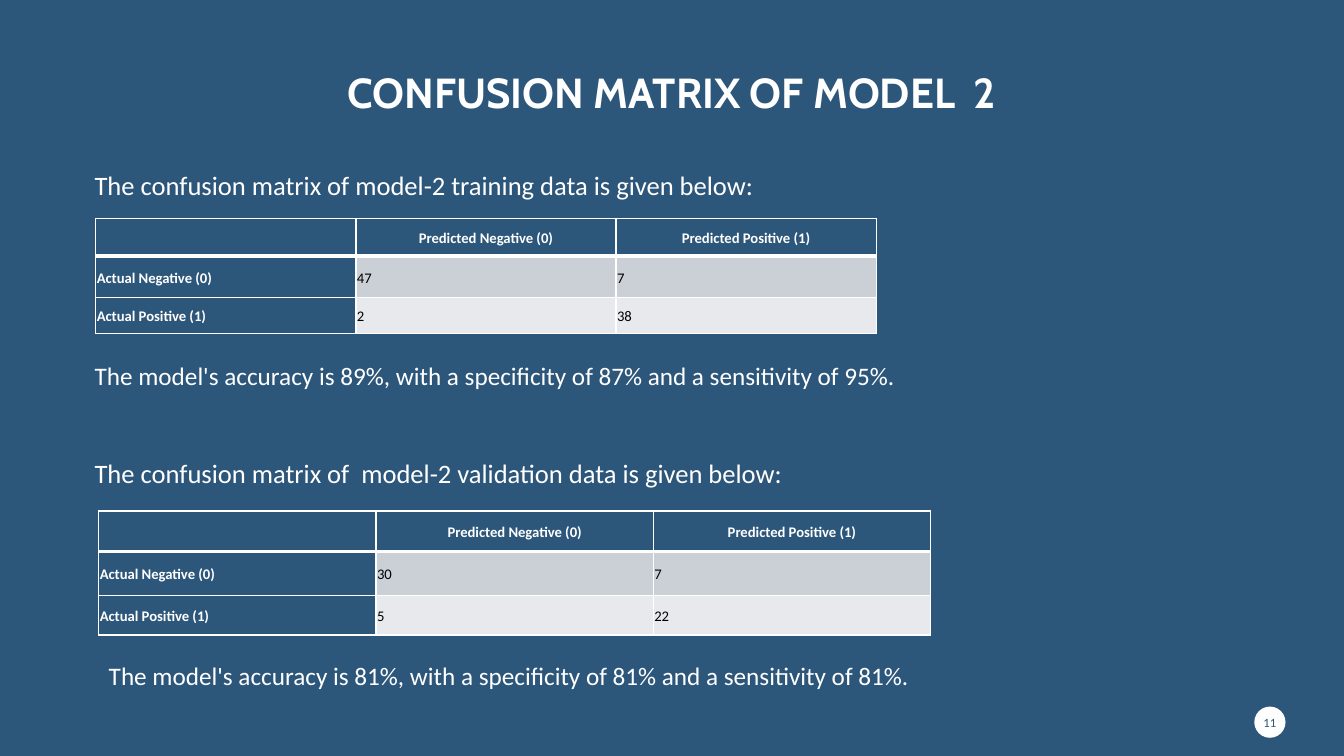
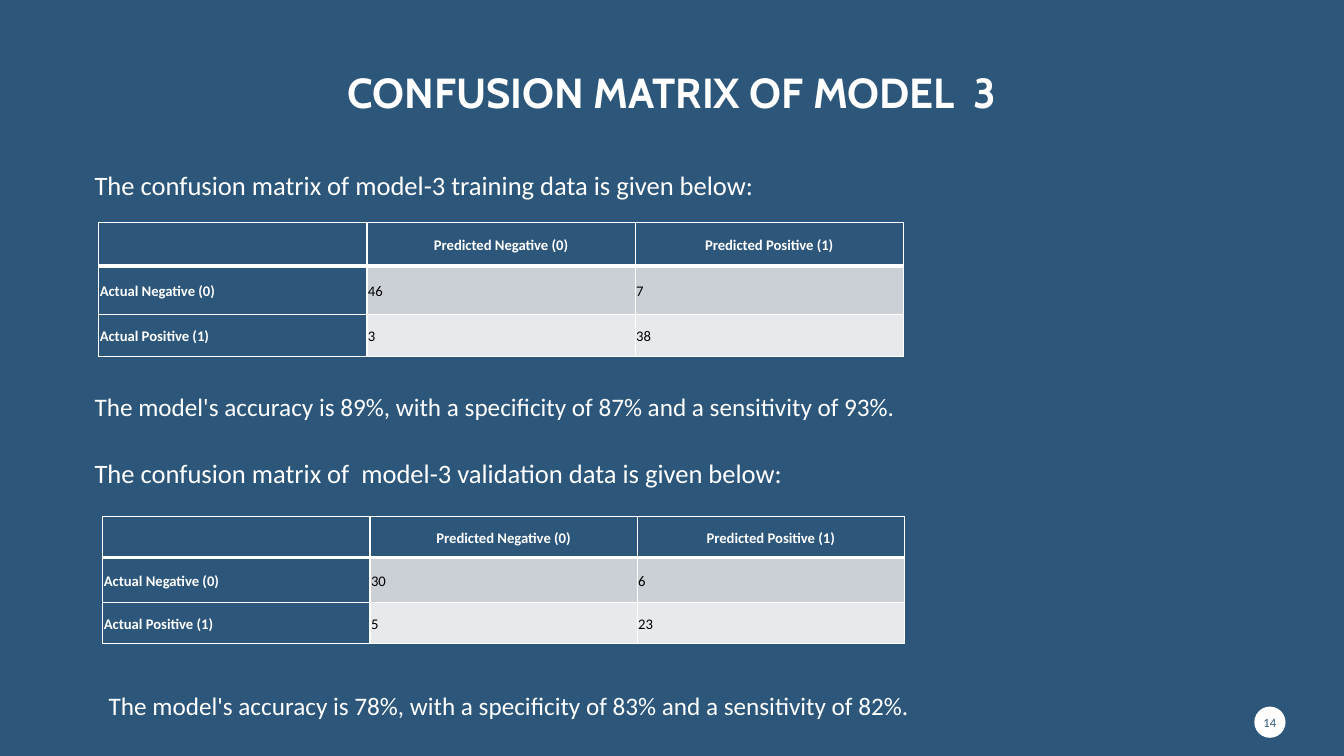
from lxml.etree import SubElement
from pptx import Presentation
from pptx.dml.color import RGBColor
from pptx.enum.shapes import MSO_SHAPE
from pptx.enum.text import MSO_ANCHOR, PP_ALIGN
from pptx.oxml.ns import qn
from pptx.util import Inches, Pt

NAVY, WHITE, BLACK = "2C567A", "FFFFFF", "000000"
BAND_FILLS = [NAVY, "CBD0D6", "E7E9EC"]
TEXT_LEFT = 0.84
HEADER = ["", "Predicted Negative (0)", "Predicted Positive (1)"]
ROW_LABELS = ["Actual Negative (0)", "Actual Positive (1)"]
color = RGBColor.from_string

# Boxes are left, top, width, height; table places are left, top, column width.
SLIDES = [
    {"model": 2, "number": 11, "sections": [
        {"data": " model-2 training", "heading_top": 1.63,
         "table": (0.95, 2.17, 2.58), "rows": [0.37, 0.41, 0.36],
         "values": [[47, 7], [2, 38]], "rates": (89, 87, 95),
         "result": (TEXT_LEFT, 3.23, 8.38, 1.03), "spacing": 2.0},
        {"data": "  model-2 validation", "heading_top": 4.48,
         "table": (0.98, 5.07, 2.75), "rows": [0.40, 0.44, 0.39],
         "values": [[30, 7], [5, 22]], "rates": (81, 81, 81),
         "result": (0.98, 6.5, 8.38, 0.71), "spacing": 1.0},
    ]},
    {"model": 3, "number": 14, "sections": [
        {"data": " model-3 training", "heading_top": 1.63,
         "table": (0.98, 2.21, 2.66), "rows": [0.43, 0.48, 0.42],
         "values": [[46, 7], [3, 38]], "rates": (89, 87, 93),
         "result": (TEXT_LEFT, 3.53, 8.24, 0.62), "spacing": 2.0},
        {"data": "  model-3 validation", "heading_top": 4.48,
         "table": (1.02, 5.12, 2.65), "rows": [0.41, 0.45, 0.40],
         "values": [[30, 6], [5, 23]], "rates": (78, 83, 82),
         "result": (0.98, 6.5, 8.24, 0.62), "spacing": 2.0},
    ]},
]


def write(frame, text, size, ink=WHITE, name="Calibri", bold=False,
          alignment=PP_ALIGN.LEFT, spacing=1.0):
    """Fill the first paragraph of a text frame with one formatted run."""
    frame.word_wrap = True
    paragraph = frame.paragraphs[0]
    paragraph.alignment = alignment
    paragraph.line_spacing = spacing
    run = paragraph.add_run()
    run.text = text
    for attribute, value in {"size": Pt(size), "name": name, "bold": bold}.items():
        setattr(run.font, attribute, value)
    run.font.color.rgb = color(ink)


def add_borders(cell, widths):
    """Draw white cell borders; widths maps lnL, lnR, lnT and lnB to points."""
    properties = cell._tc.get_or_add_tcPr()
    for side, width in widths.items():
        line = SubElement(properties, qn(f"a:{side}"), w=str(Pt(width)))
        fill = SubElement(line, qn("a:solidFill"))
        SubElement(fill, qn("a:srgbClr"), val=WHITE)


presentation = Presentation()
presentation.slide_width = Inches(13.33)
presentation.slide_height = Inches(7.5)
background = presentation.slide_master.background.fill
background.solid()
background.fore_color.rgb = color(NAVY)

for content in SLIDES:
    slide = presentation.slides.add_slide(presentation.slide_layouts[5])

    title = slide.shapes.title
    title_place = {"left": 1.14, "top": 0.45, "width": 11.05, "height": 0.77}
    for attribute, value in title_place.items():
        setattr(title, attribute, Inches(value))
    title.text_frame.vertical_anchor = MSO_ANCHOR.BOTTOM
    write(title.text_frame, f"CONFUSION MATRIX OF MODEL  {content['model']}", 30,
          name="Cabin", bold=True, alignment=PP_ALIGN.CENTER, spacing=0.9)

    badge = slide.shapes.add_shape(
        MSO_SHAPE.OVAL, Inches(12.44), Inches(7.01), Inches(0.31), Inches(0.31))
    badge.shadow.inherit = False
    badge.fill.solid()
    badge.fill.fore_color.rgb = color(WHITE)
    badge.line.fill.background()
    for side in ("left", "top", "right", "bottom"):
        setattr(badge.text_frame, f"margin_{side}", 0)
    badge.text_frame.vertical_anchor = MSO_ANCHOR.MIDDLE
    write(badge.text_frame, str(content["number"]), 9, ink=NAVY,
          alignment=PP_ALIGN.CENTER)

    for section in content["sections"]:
        heading = slide.shapes.add_textbox(
            Inches(TEXT_LEFT), Inches(section["heading_top"]), Inches(7.13), Inches(0.74))
        write(heading.text_frame,
              f"The confusion matrix of{section['data']} data is given below:", 19)

        accuracy, specificity, sensitivity = section["rates"]
        result = slide.shapes.add_textbox(*map(Inches, section["result"]))
        write(result.text_frame,
              f"The model's accuracy is {accuracy}%, with a specificity of "
              f"{specificity}% and a sensitivity of {sensitivity}%.",
              18, spacing=section["spacing"])

        left, top, column_width = section["table"]
        matrix = slide.shapes.add_table(
            3, 3, Inches(left), Inches(top),
            Inches(3 * column_width), Inches(sum(section["rows"]))).table
        for column in matrix.columns:
            column.width = Inches(column_width)
        for row, height in zip(matrix.rows, section["rows"]):
            row.height = Inches(height)

        lines = [HEADER] + [[label, *values] for label, values
                            in zip(ROW_LABELS, section["values"])]
        for row_index, line in enumerate(lines):
            for column_index, value in enumerate(line):
                cell = matrix.cell(row_index, column_index)
                is_header = row_index == 0
                is_label = is_header or column_index == 0
                for side in ("left", "top", "right", "bottom"):
                    setattr(cell, f"margin_{side}", Inches(0.01))
                cell.vertical_anchor = MSO_ANCHOR.MIDDLE
                add_borders(cell, {"lnL": 1, "lnR": 1,
                                   "lnT": 3 if row_index == 1 else 1,
                                   "lnB": 3 if is_header else 1})
                cell.fill.solid()
                cell.fill.fore_color.rgb = color(
                    NAVY if is_label else BAND_FILLS[row_index])
                write(cell.text_frame, str(value), 10.5,
                      ink=WHITE if is_label else BLACK, bold=is_label,
                      alignment=PP_ALIGN.CENTER if is_header else PP_ALIGN.LEFT,
                      spacing=1.15)

presentation.save("out.pptx")
